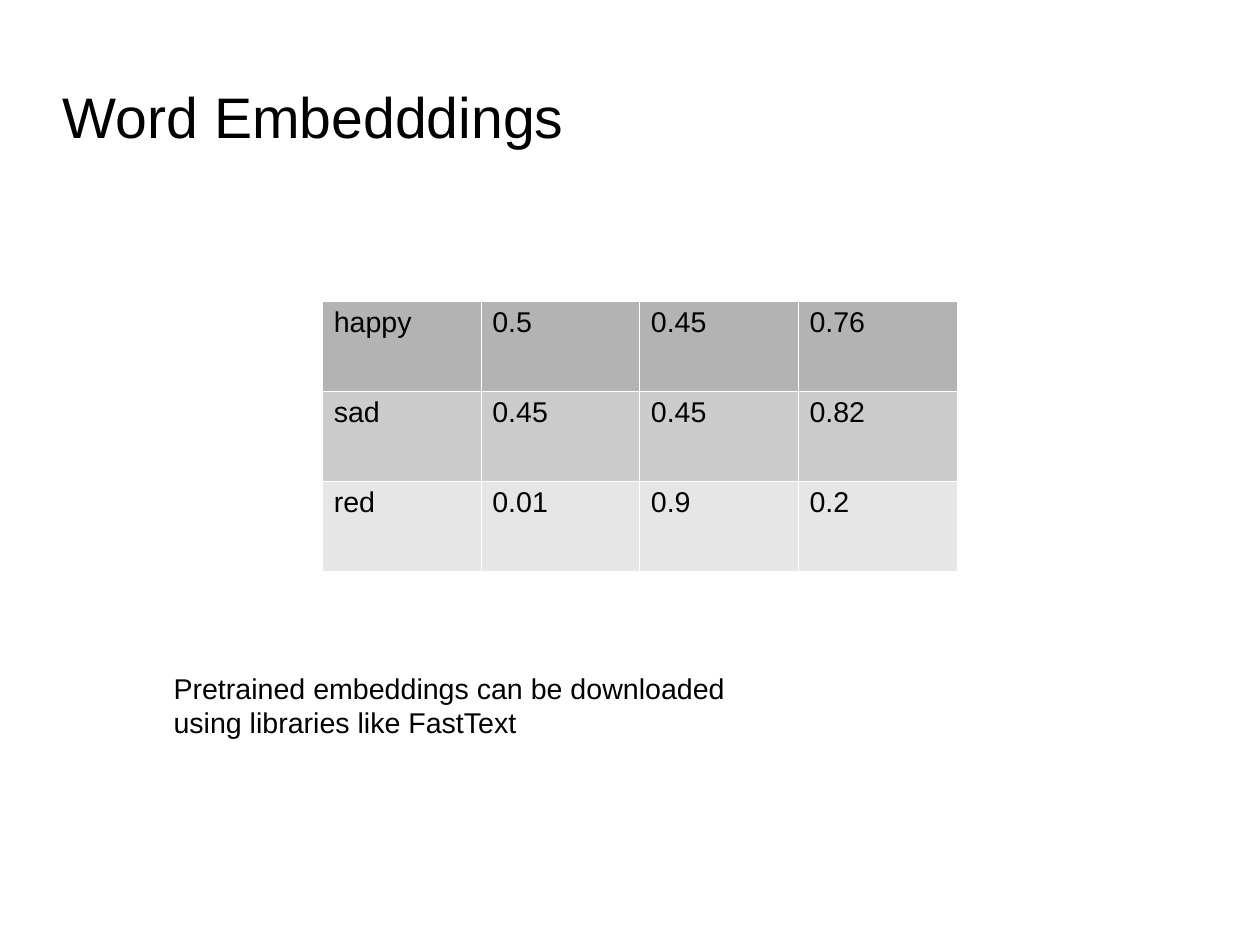
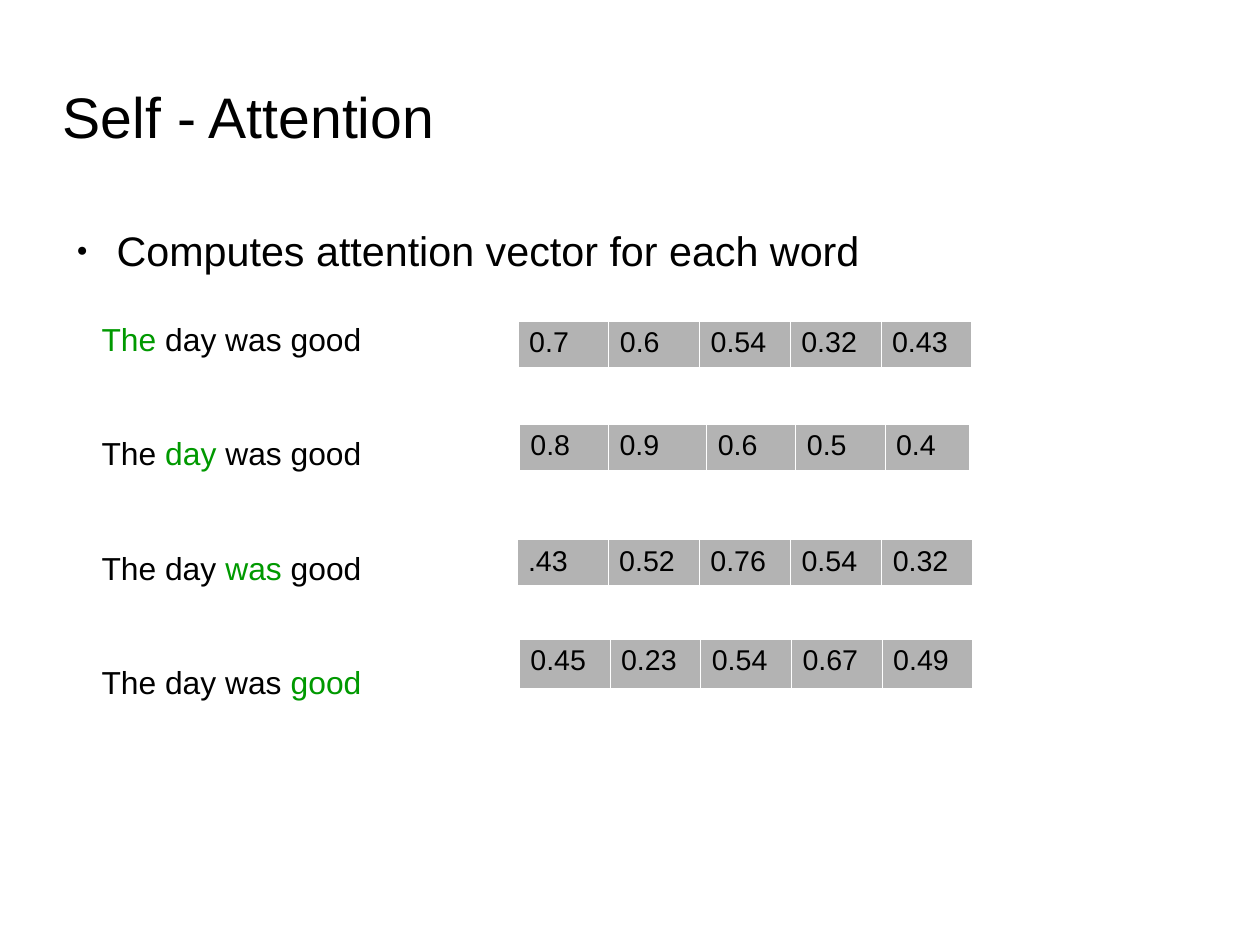
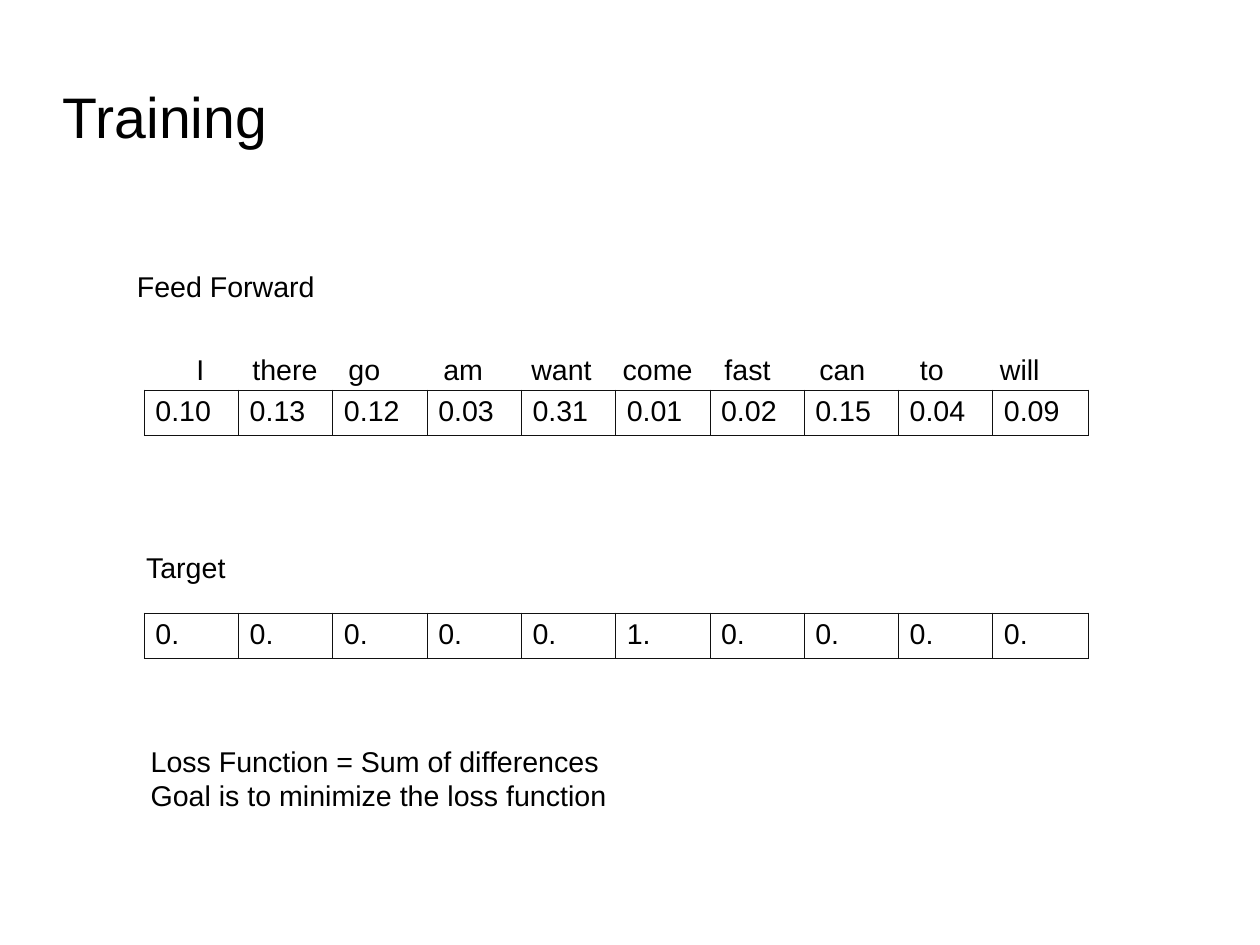
from lxml import etree
from pptx import Presentation
from pptx import util as u
from pptx.dml.color import RGBColor
from pptx.enum import text
from pptx.oxml import ns

BLACK, GREEN, WHITE = "000000", "009900", "FFFFFF"
DARK_GRAY, MID_GRAY, LIGHT_GRAY = "B3B3B3", "CCCCCC", "E6E6E6"
INK = "111111"
CM_PER_INCH = 2.54


def color(value):
    return RGBColor.from_string(value)


def add_element(parent, tag, **attributes):
    element = etree.SubElement(parent, ns.qn(tag))
    for name, value in attributes.items():
        element.set(name, str(value))
    return element


def add_bullet(paragraph, character, percent, left, hanging):
    properties = paragraph._p.get_or_add_pPr()
    properties.set("marL", str(u.Inches(left)))
    properties.set("indent", str(-u.Inches(hanging)))
    add_element(add_element(properties, "a:buClr"), "a:srgbClr", val=BLACK)
    add_element(properties, "a:buSzPct", val=percent * 1000)
    add_element(properties, "a:buChar", char=character)


def add_tabs(paragraph, stops):
    tab_list = add_element(paragraph._p.get_or_add_pPr(), "a:tabLst")
    for stop in stops:
        add_element(tab_list, "a:tab", pos=u.Inches(stop), algn="l")


def write(frame, paragraphs, size=18, font="Arial", gap=0, after=0, bullet=None, tabs=None):
    for index, runs in enumerate(paragraphs):
        paragraph = frame.add_paragraph() if index else frame.paragraphs[0]
        if bullet:
            add_bullet(paragraph, **bullet)
        if tabs:
            add_tabs(paragraph, tabs)
        paragraph.alignment = text.PP_ALIGN.LEFT
        paragraph.space_before = u.Pt(gap if index else 0)
        paragraph.space_after = u.Pt(after)
        for content, run_color in [(runs, BLACK)] if isinstance(runs, str) else runs:
            run = paragraph.add_run()
            run.text = content
            run.font.size = u.Pt(size)
            run.font.name = font
            run.font.color.rgb = color(run_color)


class Deck:
    TITLE_BOX = (0.55, 0.62, 7.87, 0.79)
    BODY_BOX = (0.55, 1.97, 9.92, 4.79)
    BULLET = dict(character="●", percent=45, left=0.47, hanging=0.35)
    BORDER_WIDTH = u.Pt(0.06)

    def __init__(self, width, height):
        self.presentation = Presentation()
        self.presentation.slide_width = u.Inches(width)
        self.presentation.slide_height = u.Inches(height)
        self.presentation.element.sldSz.attrib.pop("type", None)
        self.slide = None

    def place(self, placeholder, box, anchor):
        placeholder.left, placeholder.top, placeholder.width, placeholder.height = map(u.Inches, box)
        frame = placeholder.text_frame
        frame.margin_left = frame.margin_top = frame.margin_right = frame.margin_bottom = 0
        frame.vertical_anchor = anchor
        frame.auto_size = text.MSO_AUTO_SIZE.NONE
        return frame

    def add_slide(self, title, bullets=None):
        layout = self.presentation.slide_layouts[1 if bullets else 5]
        self.slide = self.presentation.slides.add_slide(layout)
        frame = self.place(self.slide.shapes.title, self.TITLE_BOX, text.MSO_ANCHOR.MIDDLE)
        write(frame, [title], size=36)
        if bullets:
            frame = self.place(self.slide.placeholders[1], self.BODY_BOX, text.MSO_ANCHOR.TOP)
            write(frame, bullets, size=26, after=14.2, bullet=self.BULLET)

    def add_text(self, box, paragraphs, **style):
        frame = self.slide.shapes.add_textbox(*map(u.Inches, box)).text_frame
        frame.word_wrap = True
        write(frame, paragraphs, **style)

    def add_table(self, left, top, widths, row_height, rows, fills, border=WHITE):
        shape = self.slide.shapes.add_table(
            len(rows), len(widths), u.Inches(left), u.Inches(top),
            u.Inches(sum(widths)), u.Inches(row_height * len(rows)))
        table = shape.table
        table.first_row = table.horz_banding = False
        for column, width in zip(table.columns, widths):
            column.width = u.Inches(width)
        for row, values, fill in zip(table.rows, rows, fills):
            row.height = u.Inches(row_height)
            for cell, value in zip(row.cells, values):
                write(cell.text_frame, [value])
                cell.fill.solid()
                cell.fill.fore_color.rgb = color(fill)
                self.add_borders(cell, border)

    def add_borders(self, cell, border):
        properties = cell._tc.get_or_add_tcPr()
        for index, side in enumerate("LRTB"):
            line = add_element(properties, f"a:ln{side}", w=self.BORDER_WIDTH)
            add_element(add_element(line, "a:solidFill"), "a:srgbClr", val=border)
            properties.insert(index, line)


def build_embeddings(deck):
    deck.add_slide("Word Embedddings")
    rows = [
        ["happy", "0.5", "0.45", "0.76"],
        ["sad", "0.45", "0.45", "0.82"],
        ["red", "0.01", "0.9", "0.2"],
    ]
    deck.add_table(2.82, 2.63, [5.55 / 4] * 4, 0.79, rows, [DARK_GRAY, MID_GRAY, LIGHT_GRAY])
    deck.add_text((1.42, 5.82, 5.12, 0.66),
                  ["Pretrained embeddings can be downloaded using libraries like FastText"])


def build_attention(deck):
    deck.add_slide("Self - Attention", ["Computes attention vector for each word"])
    words = ["The ", "day ", "was ", "good"]
    sentences = [[(word, GREEN if word == focus else BLACK) for word in words] for focus in words]
    deck.add_text((0.79, 2.75, 6.54, 4.13), sentences, size=20, gap=48)
    vectors = [
        (4.53, 2.81, [3.97 / 5] * 5, 0.38, "0.7 0.6 0.54 0.32 0.43"),
        (4.54, 3.71, [0.78, 0.86, 0.78, 0.78, 0.74], 0.38, "0.8 0.9 0.6 0.5 0.4"),
        (4.52, 4.72, [3.99 / 5] * 5, 0.38, ".43 0.52 0.76 0.54 0.32"),
        (4.54, 5.59, [3.97 / 5] * 5, 0.43, "0.45 0.23 0.54 0.67 0.49"),
    ]
    for left, top, widths, height, values in vectors:
        deck.add_table(left, top, widths, height, [values.split()], [DARK_GRAY])


def build_training(deck):
    deck.add_slide("Training")
    deck.add_text((1.1, 2.3, 2.13, 0.38), ["Feed Forward"])
    deck.add_text((1.18, 4.76, 1.57, 0.38), ["Target"])
    outputs = "0.10 0.13 0.12 0.03 0.31 0.01 0.02 0.15 0.04 0.09".split()
    targets = ["1." if index == 5 else "0." for index in range(10)]
    widths = [8.25 / 10] * 9 + [0.84]
    for top, values in [(3.41, outputs), (5.36, targets)]:
        deck.add_table(1.26, top, widths, 0.38, [values], [WHITE], border=INK)
    word_starts = {"I": 0.2, "there": 0.69, "go": 1.53, "am": 2.36, "want": 3.13,
                   "come": 3.93, "fast": 4.82, "can": 5.65, "to": 6.53, "will": 7.23}
    deck.add_text((1.42, 3.03, 8.03, 0.38), ["".join(f"\t{word}" for word in word_starts)],
                  tabs=word_starts.values())
    deck.add_text((1.22, 6.46, 4.8, 0.66),
                  ["Loss Function = Sum of differences", "Goal is to minimize the loss function"])


def main():
    deck = Deck(28 / CM_PER_INCH, 21 / CM_PER_INCH)
    build_embeddings(deck)
    build_attention(deck)
    build_training(deck)
    deck.presentation.save("out.pptx")


if __name__ == "__main__":
    main()
